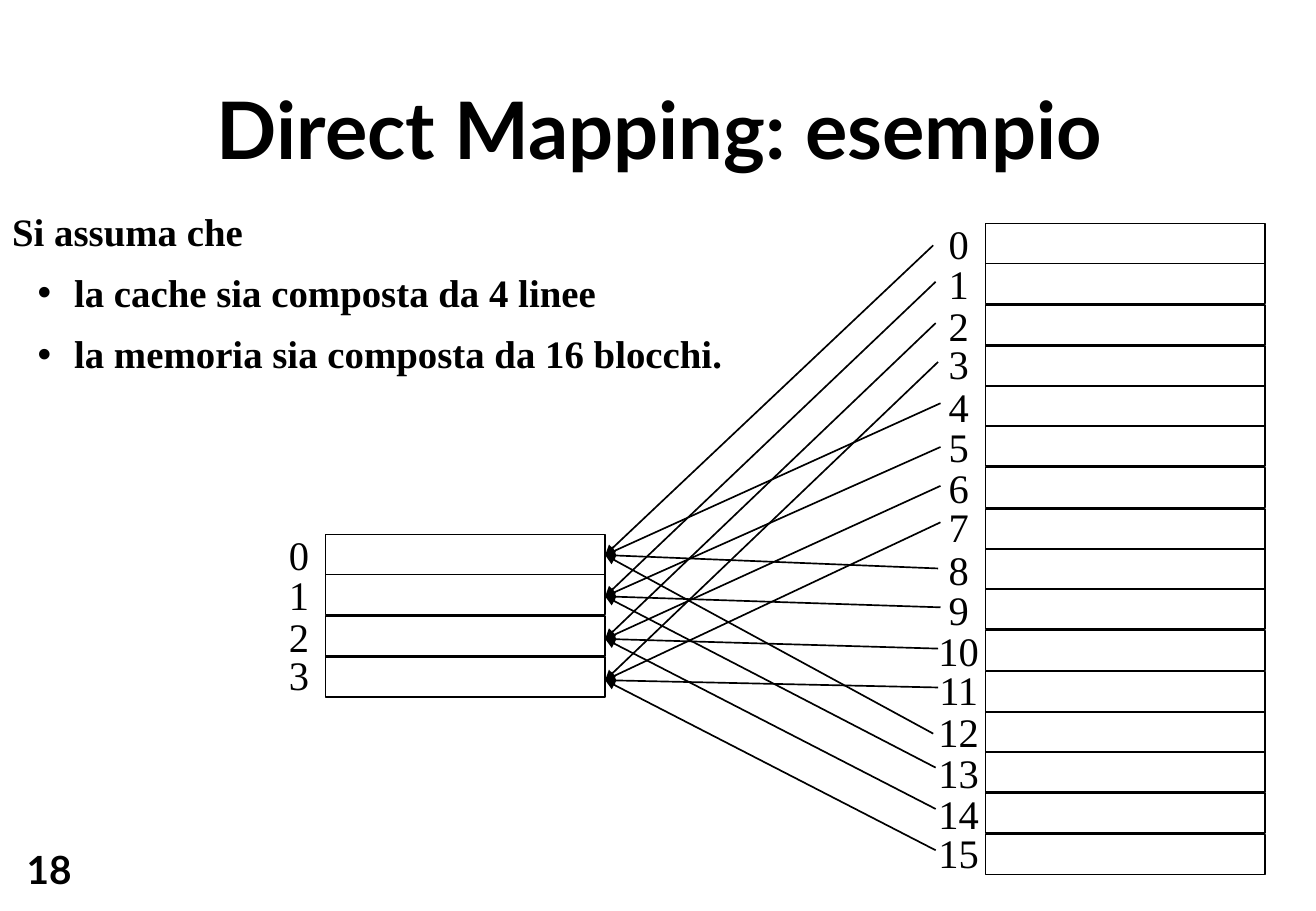
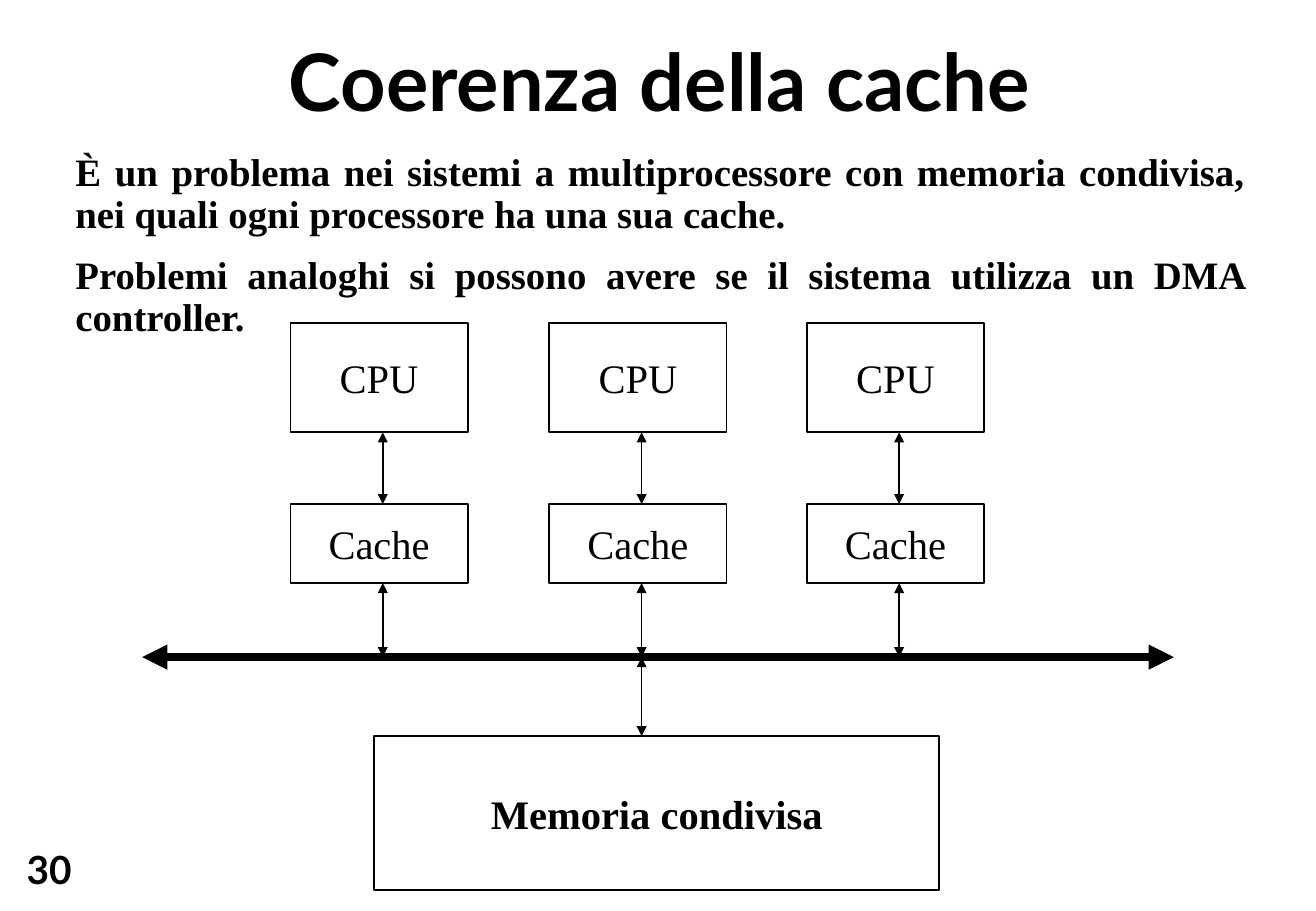
from lxml.etree import SubElement
from pptx import Presentation
from pptx.dml.color import RGBColor
from pptx.enum.shapes import MSO_CONNECTOR, MSO_SHAPE
from pptx.enum.text import MSO_ANCHOR as Anchor, MSO_AUTO_SIZE as AutoSize, PP_ALIGN as Align
from pptx.oxml.ns import qn
from pptx.util import Inches, Pt

COLORS = {"ink": "000000", "paper": "FFFFFF"}
HEAD_FONT, BODY_FONT = "Lato", "Times New Roman"

MAPPING = {
    "number": "18",
    "title": "Direct Mapping: esempio",
    "title_box": (1.5, 0.64, 7.86, 0.82),
    "body": [("Si assuma che", 0),
             ("la cache sia composta da 4 linee", 1),
             ("la memoria sia composta da 16 blocchi.", 1)],
    "body_box": (0, 1.7, 8.48, 2.06),
}
COHERENCE = {
    "number": "30",
    "title": "Coerenza della cache",
    "title_box": (2.06, 0.25, 6.74, 0.82),
    "body": [("È un problema nei sistemi a multiprocessore con memoria condivisa, "
              "nei quali ogni processore ha una sua cache.", 0),
             ("Problemi analoghi si possono avere se il sistema utilizza un DMA controller.", 0)],
    "body_box": (0.52, 1.21, 9.84, 1.67),
}

CACHE_LINES, MEMORY_BLOCKS = 4, 16
CELL_W, CELL_H, LABEL_W = 2.3, 0.33, 0.44
GROUP_H = 1.34
CELL_STEPS = (0, 0.33, 0.67, 1.01)
LABEL_STEPS = (0, 0.33, 0.67, 0.99)
CACHE_AT, MEMORY_AT = (2.68, 4.4), (8.11, 1.84)
LINE_ENDS = (4.57, 4.91, 5.26, 5.6)
BLOCK_STARTS = [
    (7.68, 2.02), (7.7, 2.32), (7.7, 2.66), (7.72, 2.98),
    (7.74, 3.32), (7.74, 3.68), (7.74, 4), (7.74, 4.3),
    (7.72, 4.68), (7.74, 5), (7.72, 5.34), (7.72, 5.66),
    (7.68, 6.04), (7.7, 6.32), (7.7, 6.66), (7.7, 7),
]

CPU_LEFTS, CPU_W, AXIS_DX = (2.39, 4.52, 6.64), 1.46, 0.76
CPU_TOP, CPU_H = 2.66, 0.9
CACHE_TOP, CACHE_H = 4.15, 0.65
BUS_Y, BUS_LEFT, BUS_RIGHT = 5.41, 1.17, 9.66
MEMORY_BOX = (3.08, 6.06, 4.65, 1.27)


def rgb(name):
    return RGBColor.from_string(COLORS[name])


def inches(values):
    return [Inches(v) for v in values]


def write(sp, items, size=24, font=BODY_FONT, bold=False, align=Align.CENTER,
          anchor=Anchor.MIDDLE, wrap=False, inset=(0, 0), spacing=None, before=0):
    tf = sp.text_frame
    tf.word_wrap, tf.auto_size, tf.vertical_anchor = wrap, AutoSize.NONE, anchor
    tf.margin_left = tf.margin_right = Inches(inset[0])
    tf.margin_top = tf.margin_bottom = Inches(inset[1])
    for i, (text, level) in enumerate(items):
        p = tf.add_paragraph() if i else tf.paragraphs[0]
        p.alignment, p.level = align, level
        p.space_before = Pt(before if i else 0)
        if spacing:
            p.line_spacing = spacing
        pPr = p._p.get_or_add_pPr()
        pPr.set("marL", str(Inches(0.51 if level else 0)))
        pPr.set("indent", str(Inches(-0.3 if level else 0)))
        if level:
            SubElement(pPr, qn("a:buChar")).set("char", "•")
        else:
            SubElement(pPr, qn("a:buNone"))
        r = p.add_run()
        r.text = text
        r.font.name, r.font.size, r.font.bold = font, Pt(size), bold
        r.font.color.rgb = rgb("ink")


def place(sp, box):
    sp.left, sp.top, sp.width, sp.height = inches(box)
    return sp


def add_label(s, box, text, **fmt):
    write(s.shapes.add_textbox(*inches(box)), [(text, 0)], **fmt)


def add_box(s, box, text=None, **fmt):
    sp = s.shapes.add_shape(MSO_SHAPE.RECTANGLE, *inches(box))
    sp.shadow.inherit = False
    sp.fill.background()
    sp.line.color.rgb, sp.line.width = rgb("ink"), Pt(1)
    if text:
        write(sp, [(text, 0)], **fmt)


def add_arrow(s, start, end, width=1, both=True):
    c = s.shapes.add_connector(MSO_CONNECTOR.STRAIGHT, *inches(start + end))
    c.line.color.rgb, c.line.width = rgb("ink"), Pt(width)
    ln = c.line._get_or_add_ln()
    for tag in ("a:headEnd", "a:tailEnd") if both else ("a:tailEnd",):
        SubElement(ln, qn(tag)).set("type", "triangle")
    SubElement(c._element.spPr, qn("a:effectLst"))


def add_slide(prs, content):
    s = prs.slides.add_slide(prs.slide_layouts[1])
    s.background.fill.solid()
    s.background.fill.fore_color.rgb = rgb("paper")
    heading = {"font": HEAD_FONT, "bold": True, "inset": (0.05, 0.02)}
    add_label(s, (0.17, 6.94, 0.49, 0.43), content["number"], size=23,
              align=Align.LEFT, anchor=Anchor.TOP, **heading)
    write(place(s.shapes.title, content["title_box"]), [(content["title"], 0)],
          size=47, **heading)
    write(place(s.placeholders[1], content["body_box"]), content["body"], size=23,
          bold=True, align=Align.JUSTIFY, anchor=Anchor.TOP, wrap=True,
          inset=(0.1, 0.05), spacing=0.9, before=11.5)
    return s


def add_cells(s, at, count):
    left, top = at
    for i in range(count):
        group, row = divmod(i, CACHE_LINES)
        y = top + group * GROUP_H
        add_box(s, (left, y + CELL_STEPS[row], CELL_W, CELL_H))
        add_label(s, (left - LABEL_W, y + LABEL_STEPS[row], LABEL_W, CELL_H), str(i))


prs = Presentation()
prs.slide_width, prs.slide_height = Inches(10.83), Inches(7.5)

s = add_slide(prs, MAPPING)
add_cells(s, CACHE_AT, CACHE_LINES)
add_cells(s, MEMORY_AT, MEMORY_BLOCKS)
for block, start in enumerate(BLOCK_STARTS):
    end = (CACHE_AT[0] + CELL_W, LINE_ENDS[block % CACHE_LINES])
    add_arrow(s, start, end, both=False)

s = add_slide(prs, COHERENCE)
add_arrow(s, (BUS_LEFT, BUS_Y), (BUS_RIGHT, BUS_Y), width=5)
add_box(s, MEMORY_BOX, "Memoria condivisa", bold=True)
for left in CPU_LEFTS:
    axis = left + AXIS_DX
    add_box(s, (left, CPU_TOP, CPU_W, CPU_H), "CPU")
    add_box(s, (left, CACHE_TOP, CPU_W, CACHE_H), "Cache")
    add_arrow(s, (axis, CPU_TOP + CPU_H), (axis, CACHE_TOP))
    add_arrow(s, (axis, CACHE_TOP + CACHE_H), (axis, BUS_Y))
bus_axis = CPU_LEFTS[1] + AXIS_DX
add_arrow(s, (bus_axis, BUS_Y), (bus_axis, MEMORY_BOX[1]))

prs.save("out.pptx")
